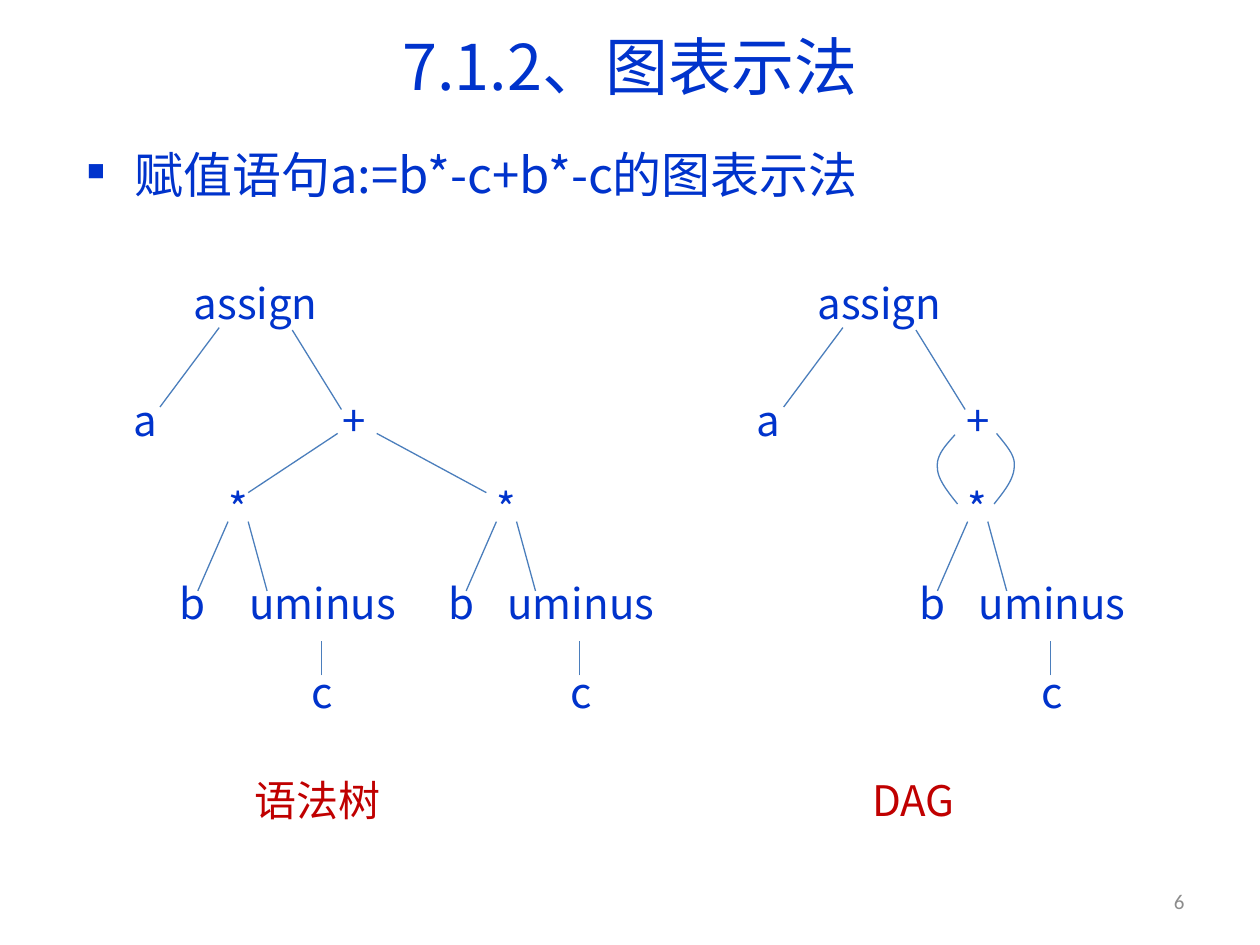
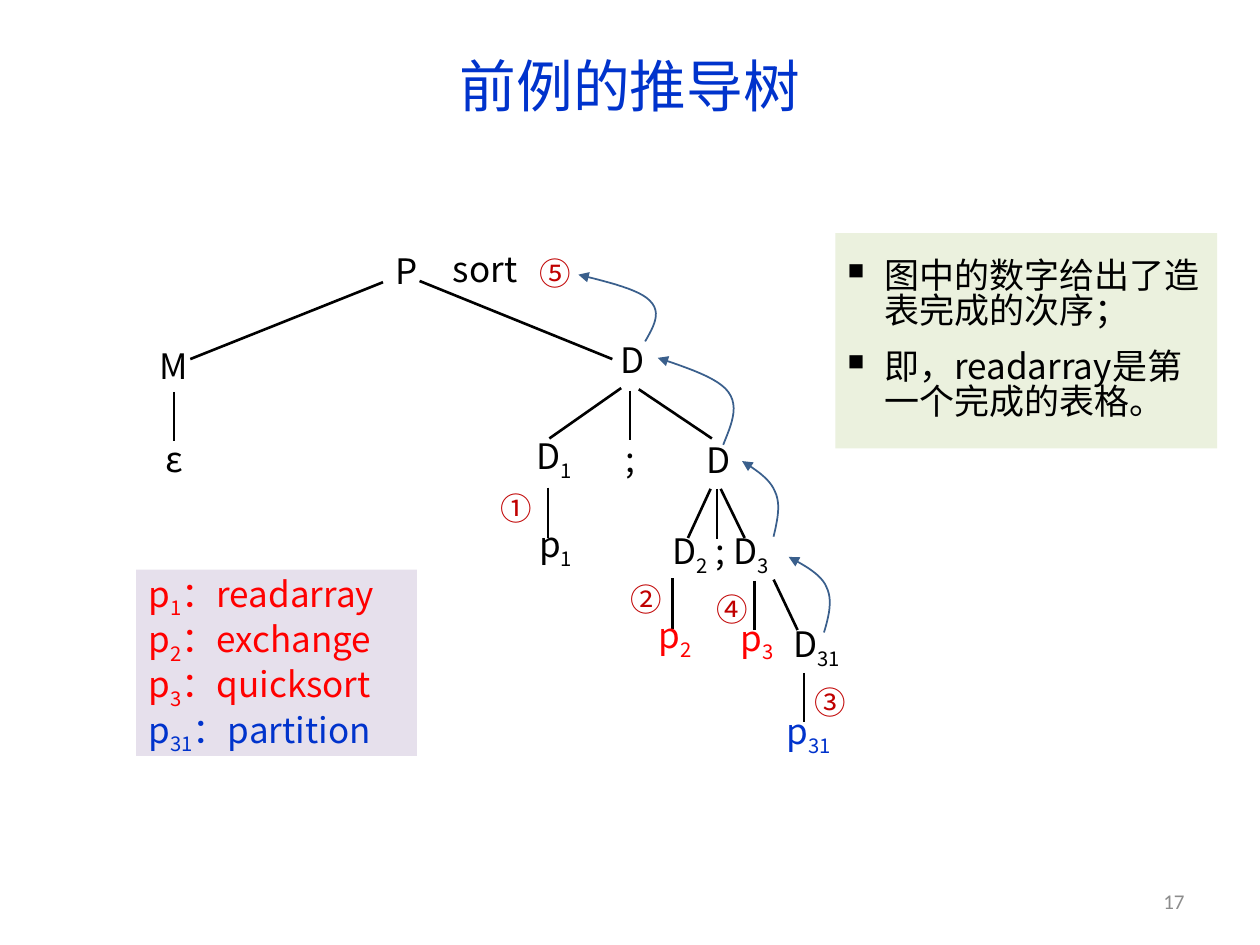
from dataclasses import dataclass

from lxml import etree
from pptx import Presentation
from pptx.dml.color import RGBColor
from pptx.enum.shapes import MSO_CONNECTOR, MSO_SHAPE
from pptx.enum.text import MSO_ANCHOR, PP_ALIGN
from pptx.oxml.ns import qn
from pptx.util import Inches, Pt

STRAIGHT = MSO_CONNECTOR.STRAIGHT
PROCESS, RECTANGLE = MSO_SHAPE.FLOWCHART_PROCESS, MSO_SHAPE.RECTANGLE
TOP, MIDDLE = MSO_ANCHOR.TOP, MSO_ANCHOR.MIDDLE
LEFT, CENTER, RIGHT = PP_ALIGN.LEFT, PP_ALIGN.CENTER, PP_ALIGN.RIGHT


@dataclass(frozen=True)
class Theme:
    blue: str = "0033CC"
    dark_red: str = "C00000"
    red: str = "FF0000"
    black: str = "000000"
    gray: str = "8C8C8C"
    edge: str = "4B7EBC"
    arrow: str = "3A5F8C"
    green_panel: str = "EBF1DE"
    purple_panel: str = "E6E0EC"
    title_font: str = "Noto Sans CJK JP"
    body_font: str = "Noto Sans CJK SC"
    number_font: str = "Calibri"
    title_size: float = 36
    small_title_size: float = 32.4
    lead_size: float = 28
    node_size: float = 24
    body_size: float = 20
    mark_size: float = 18
    number_size: float = 12


THEME = Theme()


def bezier_points(points, steps=12):
    """Sample a chain of cubic curves given as start, control, control, end, ..."""
    sampled = [points[0]]
    for first in range(0, len(points) - 1, 3):
        a, b, c, d = points[first:first + 4]
        for step in range(1, steps + 1):
            t = step / steps
            u = 1 - t
            weights = (u ** 3, 3 * u * u * t, 3 * u * t * t, t ** 3)
            sampled.append(tuple(
                sum(weight * value for weight, value in zip(weights, values))
                for values in zip(a, b, c, d)))
    return sampled


class SlideBuilder:
    def __init__(self, presentation):
        self.presentation = presentation
        self.slide = None

    def new_slide(self, title, title_box, title_size, number):
        self.slide = self.presentation.slides.add_slide(self.presentation.slide_layouts[6])
        self.text(title_box, [title], size=title_size, font=THEME.title_font)
        self.text((7.17, 6.95, 2.33, 0.4), [str(number)], size=THEME.number_size,
                  font=THEME.number_font, color=THEME.gray, align=RIGHT)

    def text(self, box, lines, **style):
        shape = self.slide.shapes.add_textbox(*map(Inches, box))
        self.set_text(shape, lines, **style)

    def panel(self, box, lines, fill, **style):
        shape = self.slide.shapes.add_shape(RECTANGLE, *map(Inches, box))
        shape.shadow.inherit = False
        shape.fill.solid()
        shape.fill.fore_color.rgb = RGBColor.from_string(fill)
        shape.line.fill.background()
        self.set_text(shape, lines, align=LEFT, **style)

    def node(self, x, y, label, color=THEME.blue):
        """Draw a plain tree node centred on x, y."""
        width, height = 1.5, 0.47
        shape = self.slide.shapes.add_shape(
            PROCESS, Inches(x - width / 2), Inches(y - height / 2),
            Inches(width), Inches(height))
        shape.shadow.inherit = False
        shape.fill.background()
        shape.line.fill.background()
        self.set_text(shape, [label], size=THEME.node_size, color=color)

    def label(self, x, y, label, color=THEME.black, size=THEME.body_size):
        """Put a short text centred on x, y."""
        width, height = 1.3, 0.4
        self.text((x - width / 2, y - height / 2, width, height), [label],
                  size=size, color=color)

    def set_text(self, shape, lines, size=THEME.body_size, font=THEME.body_font,
                 color=THEME.blue, align=CENTER, anchor=MIDDLE, bullet=None, indent=0,
                 paragraph_format=None):
        """Fill a shape; a line may be a (text, colour) pair, and _x_ sets x as subscript."""
        frame = shape.text_frame
        frame.word_wrap = True
        frame.vertical_anchor = anchor
        for index, line in enumerate(lines):
            content, line_color = line if isinstance(line, tuple) else (line, color)
            paragraph = frame.paragraphs[0] if index == 0 else frame.add_paragraph()
            if bullet:
                self.add_bullet(paragraph, bullet, indent, line_color)
            for name, value in {"alignment": align, **(paragraph_format or {})}.items():
                setattr(paragraph, name, value)
            for part, piece in enumerate(content.split("_")):
                if piece:
                    self.add_run(paragraph, piece, size, font, line_color, part % 2 == 1)

    def add_run(self, paragraph, content, size, font, color, subscript):
        run = paragraph.add_run()
        run.text = content
        for name, value in {"size": Pt(size), "name": font}.items():
            setattr(run.font, name, value)
        run.font.color.rgb = RGBColor.from_string(color)
        properties = run._r.get_or_add_rPr()
        etree.SubElement(properties, qn("a:ea")).set("typeface", font)
        if subscript:
            properties.set("baseline", "-25000")

    def add_bullet(self, paragraph, percent, indent, color):
        properties = paragraph._p.get_or_add_pPr()
        properties.set("marL", str(Inches(indent)))
        properties.set("indent", str(-Inches(indent)))
        bullet_color = etree.SubElement(properties, qn("a:buClr"))
        etree.SubElement(bullet_color, qn("a:srgbClr")).set("val", color)
        etree.SubElement(properties, qn("a:buSzPct")).set("val", str(percent * 1000))
        etree.SubElement(properties, qn("a:buChar")).set("char", "■")

    def line(self, x1, y1, x2, y2, color=THEME.black, width=1.5):
        connector = self.slide.shapes.add_connector(STRAIGHT, *map(Inches, (x1, y1, x2, y2)))
        connector.line.color.rgb = RGBColor.from_string(color)
        connector.line.width = Pt(width)
        etree.SubElement(connector._element.spPr, qn("a:effectLst"))

    def edge(self, x1, y1, x2, y2):
        self.line(x1, y1, x2, y2, THEME.edge, 0.75)

    def curve(self, points, color, width, arrow=False):
        start, *rest = [tuple(map(Inches, point)) for point in bezier_points(points)]
        builder = self.slide.shapes.build_freeform(*start)
        builder.add_line_segments(rest, close=False)
        shape = builder.convert_to_shape()
        shape.shadow.inherit = False
        shape.fill.background()
        shape.line.color.rgb = RGBColor.from_string(color)
        shape.line.width = Pt(width)
        if arrow:
            outline = shape._element.spPr.find(qn("a:ln"))
            etree.SubElement(outline, qn("a:tailEnd")).set("type", "triangle")


def draw_assignment(builder, x):
    """Draw assign with its children a and +, with assign centred on x."""
    for dx, y, label in ((0, 2.4, "assign"), (-0.88, 3.33, "a"), (0.78, 3.33, "+")):
        builder.node(x + dx, y, label)
    builder.edge(x - 0.29, 2.6, x - 0.76, 3.23)
    builder.edge(x + 0.29, 2.62, x + 0.68, 3.25)


def draw_product(builder, x, minus_x):
    """Draw the subtree b * uminus c, with * centred on x."""
    for node_x, y, label in ((x, 4.03, "*"), (x - 0.36, 4.78, "b"),
                             (minus_x, 4.78, "uminus"), (minus_x, 5.49, "c")):
        builder.node(node_x, y, label)
    builder.edge(x - 0.08, 4.14, x - 0.32, 4.69)
    builder.edge(x + 0.08, 4.14, x + 0.23, 4.69)
    builder.edge(minus_x - 0.01, 5.36, minus_x - 0.01, 5.09)


def build_graph_slide(builder):
    builder.new_slide("7.1.2、图表示法", (0.5, 0.13, 9, 0.77), THEME.title_size, 6)
    builder.text((0.59, 1.15, 6.61, 0.71), ["赋值语句a:=b*-c+b*-c的图表示法"],
                 size=THEME.lead_size, align=LEFT, anchor=TOP, bullet=50, indent=0.38,
                 paragraph_format={"line_spacing": 0.9})

    draw_assignment(builder, 2.03)
    draw_product(builder, 1.89, 2.56)
    draw_product(builder, 4.02, 4.61)
    builder.edge(2.68, 3.44, 1.97, 3.91)
    builder.edge(2.99, 3.44, 3.86, 3.91)

    draw_assignment(builder, 6.98)
    draw_product(builder, 7.76, 8.35)
    shared_edges = (
        [(7.89, 4), (7.97, 3.9), (8.05, 3.8), (8.05, 3.7),
         (8.06, 3.61), (7.98, 3.53), (7.91, 3.44)],
        [(7.6, 4), (7.52, 3.9), (7.44, 3.8), (7.44, 3.71),
         (7.43, 3.61), (7.51, 3.53), (7.58, 3.45)])
    for points in shared_edges:
        builder.curve(points, THEME.edge, 0.75)

    for x, caption in ((2.52, "语法树"), (7.25, "DAG")):
        builder.node(x, 6.35, caption, THEME.dark_red)


def build_derivation_slide(builder):
    builder.new_slide("前例的推导树", (1.61, 0.37, 6.78, 0.61), THEME.small_title_size, 17)
    builder.panel((6.63, 1.85, 3.03, 1.71),
                  ["图中的数字给出了造表完成的次序；", "即，readarray是第一个完成的表格。"],
                  THEME.green_panel, color=THEME.black, bullet=65, indent=0.29,
                  paragraph_format={"space_after": Pt(12), "line_spacing": 0.83})
    builder.panel((1.08, 4.52, 2.23, 1.48),
                  ["p_1_：readarray", "p_2_：exchange", "p_3_：quicksort",
                   ("p_31_：partition", THEME.blue)],
                  THEME.purple_panel, color=THEME.red,
                  paragraph_format={"line_spacing": 0.95})

    branches = (
        (3.04, 2.24, 1.51, 2.85), (3.33, 2.23, 4.86, 2.85), (1.38, 3.11, 1.38, 3.5),
        (4.93, 3.08, 4.36, 3.48), (5, 3.1, 5, 3.49), (5.07, 3.09, 5.65, 3.48),
        (4.35, 3.87, 4.35, 4.27), (5.64, 3.88, 5.46, 4.27), (5.69, 3.88, 5.69, 4.28),
        (5.72, 3.88, 5.91, 4.27), (5.34, 4.59, 5.34, 4.99), (5.99, 4.61, 5.99, 5),
        (6.14, 4.6, 6.33, 5), (6.38, 5.34, 6.38, 5.73))
    for branch in branches:
        builder.line(*branch)

    symbols = (
        (3.23, 2.15, "P"), (3.85, 2.13, "sort"), (1.38, 2.9, "M"), (1.38, 3.64, "ε"),
        (5.02, 2.85, "D"), (4.4, 3.64, "D_1_"), (5, 3.64, ";"), (5.7, 3.65, "D"),
        (4.41, 4.34, "p_1_"), (5.72, 4.39, "D_2_ ; D_3_"), (6.48, 5.13, "D_31_"),
        (5.36, 5.06, "p_2_", THEME.red), (6.01, 5.08, "p_3_", THEME.red),
        (6.42, 5.82, "p_31_", THEME.blue))
    for symbol in symbols:
        builder.label(*symbol)

    order_marks = ((4.1, 4.03, "①"), (5.13, 4.75, "②"), (6.59, 5.57, "③"),
                   (5.81, 4.83, "④"), (4.41, 2.17, "⑤"))
    for mark in order_marks:
        builder.label(*mark, color=THEME.dark_red, size=THEME.mark_size)

    return_arrows = (
        [(6.54, 5.02), (6.58, 4.89), (6.61, 4.76), (6.56, 4.66),
         (6.52, 4.56), (6.39, 4.49), (6.26, 4.42)],
        [(6.14, 4.26), (6.17, 4.13), (6.2, 4), (6.15, 3.9),
         (6.11, 3.8), (6, 3.73), (5.89, 3.66)],
        [(5.74, 3.53), (5.8, 3.38), (5.87, 3.23), (5.78, 3.11),
         (5.7, 3), (5.46, 2.92), (5.22, 2.84)],
        [(5.12, 2.71), (5.19, 2.59), (5.25, 2.48), (5.16, 2.39),
         (5.08, 2.3), (4.83, 2.24), (4.59, 2.18)])
    for points in return_arrows:
        builder.curve(points, THEME.arrow, 1, arrow=True)


def main():
    presentation = Presentation()
    presentation.slide_width, presentation.slide_height = Inches(10), Inches(7.5)
    builder = SlideBuilder(presentation)
    build_graph_slide(builder)
    build_derivation_slide(builder)
    presentation.save("out.pptx")


if __name__ == "__main__":
    main()
